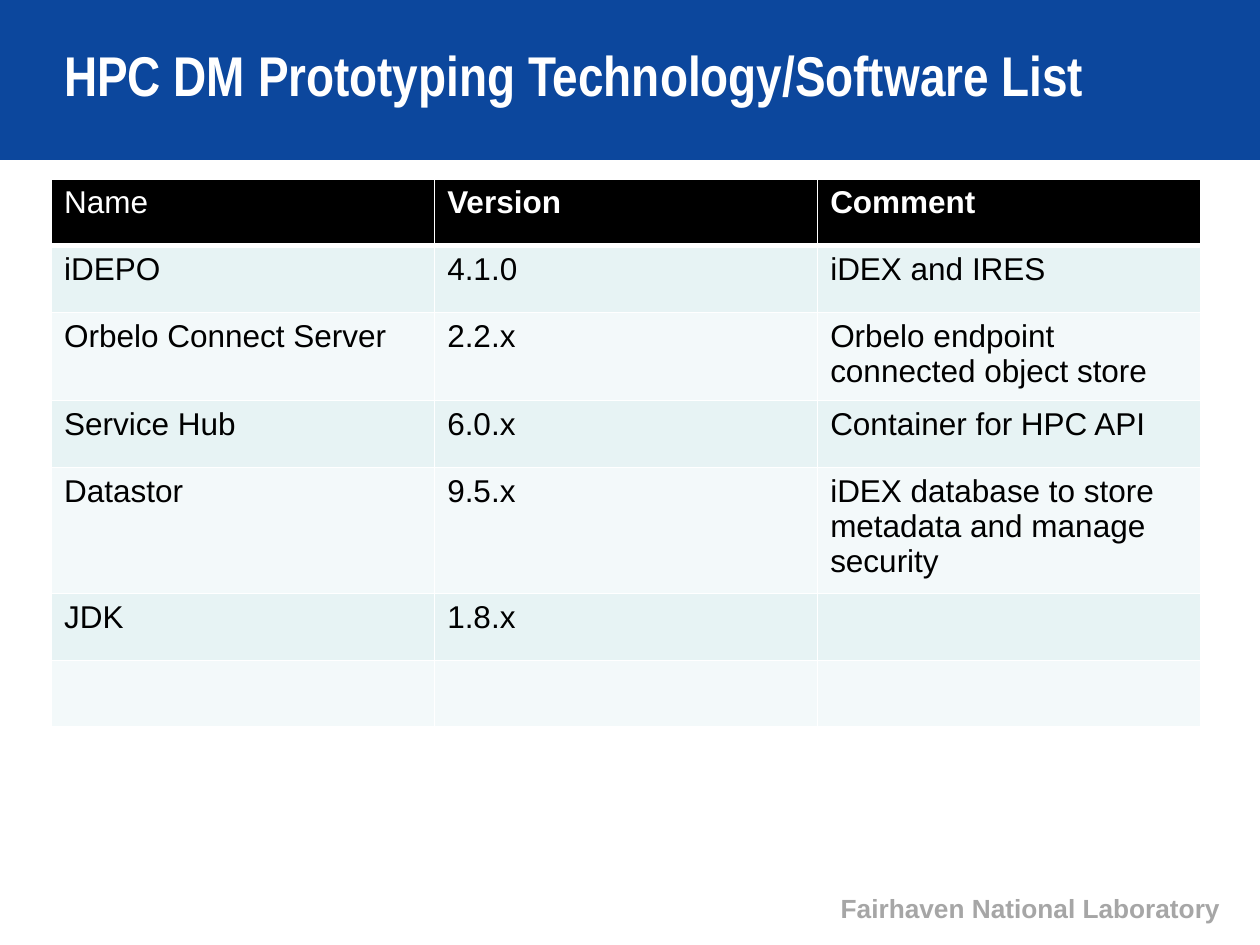
"""Build the slide that lists the prototyping software in a table."""
from lxml.etree import SubElement, fromstring
from pptx import Presentation
from pptx.dml.color import RGBColor as Rgb
from pptx.enum.shapes import MSO_SHAPE as Kind
from pptx.enum.text import MSO_ANCHOR as Anchor, MSO_AUTO_SIZE as Fit, PP_ALIGN as Align
from pptx.oxml.ns import nsdecls, qn
from pptx.util import Inches, Pt


def paint(fill, color):
    fill.solid()
    fill.fore_color.rgb = Rgb.from_string(color)


def write(para, text, size, color, bold=False, face="Arial"):
    run = para.add_run()
    run.text = text
    run.font.size = Pt(size)
    run.font.bold = bold
    run.font.name = face
    paint(run.font.fill, color)
    return run


deck = Presentation()
deck.slide_width, deck.slide_height = Inches(10), Inches(7.5)
slide = deck.slides.add_slide(deck.slide_layouts[5])
shapes = slide.shapes

bar = shapes.add_shape(Kind.RECTANGLE, 0, 0, Inches(10), Inches(1.27))
bar.shadow.inherit = False
paint(bar.fill, "0C479D")
bar.line.fill.background()

title = shapes.title
bar._element.addnext(title._element)
title.left, title.top = Inches(0.41), Inches(0)
title.width, title.height = Inches(9.12), Inches(1.25)
frame = title.text_frame
frame.auto_size = Fit.NONE
frame.vertical_anchor = Anchor.MIDDLE
para = frame.paragraphs[0]
para.alignment = Align.LEFT
para.line_spacing = 0.9
run = write(para, "HPC DM Prototyping Technology/Software List", 32, "FFFFFF", True, "Arial Narrow")
glow = fromstring(
    f'<a:effectLst {nsdecls("a")}><a:outerShdw blurRad="38100" dist="38100" dir="2700000">'
    '<a:srgbClr val="000000"><a:alpha val="43000"/></a:srgbClr></a:outerShdw></a:effectLst>')
run._r.rPr.find(qn("a:solidFill")).addnext(glow)

foot = shapes.add_textbox(Inches(5.53), Inches(7.03), Inches(4.25), Inches(0.35))
frame = foot.text_frame
frame.word_wrap = True
frame.vertical_anchor = Anchor.BOTTOM
para = frame.paragraphs[0]
para.alignment = Align.RIGHT
write(para, "Fairhaven National Laboratory", 15, "A6A6A6", True)

rows = [
    ("Name", "Version", "Comment"),
    ("iDEPO", "4.1.0", "iDEX and IRES"),
    ("Orbelo Connect Server", "2.2.x", "Orbelo endpoint connected object store"),
    ("Service Hub", "6.0.x", "Container for HPC API"),
    ("Datastor", "9.5.x", "iDEX database to store metadata and manage security"),
    ("JDK", "1.8.x", ""),
    ("", "", ""),
]
table = shapes.add_table(len(rows), 3, Inches(0.41), Inches(1.42), Inches(9.12), Inches(3.71)).table
for row, texts in enumerate(rows):
    table.rows[row].height = Inches(0.53)
    head = row == 0
    shade = "000000" if head else ("F3F9FA", "E7F3F4")[row % 2]
    for col, text in enumerate(texts):
        cell = table.cell(row, col)
        props = cell._tc.get_or_add_tcPr()
        for side in ("lnL", "lnR", "lnT", "lnB"):
            thick = (head and side == "lnB") or (row == 1 and side == "lnT")
            edge = SubElement(props, qn(f"a:{side}"), w=str(Pt(3 if thick else 1)))
            ink = SubElement(edge, qn("a:solidFill"))
            SubElement(ink, qn("a:srgbClr"), val="FFFFFF")
        paint(cell.fill, shade)
        if text:
            write(cell.text_frame.paragraphs[0], text, 18,
                  "FFFFFF" if head else "000000", head and col > 0)

deck.save("out.pptx")
